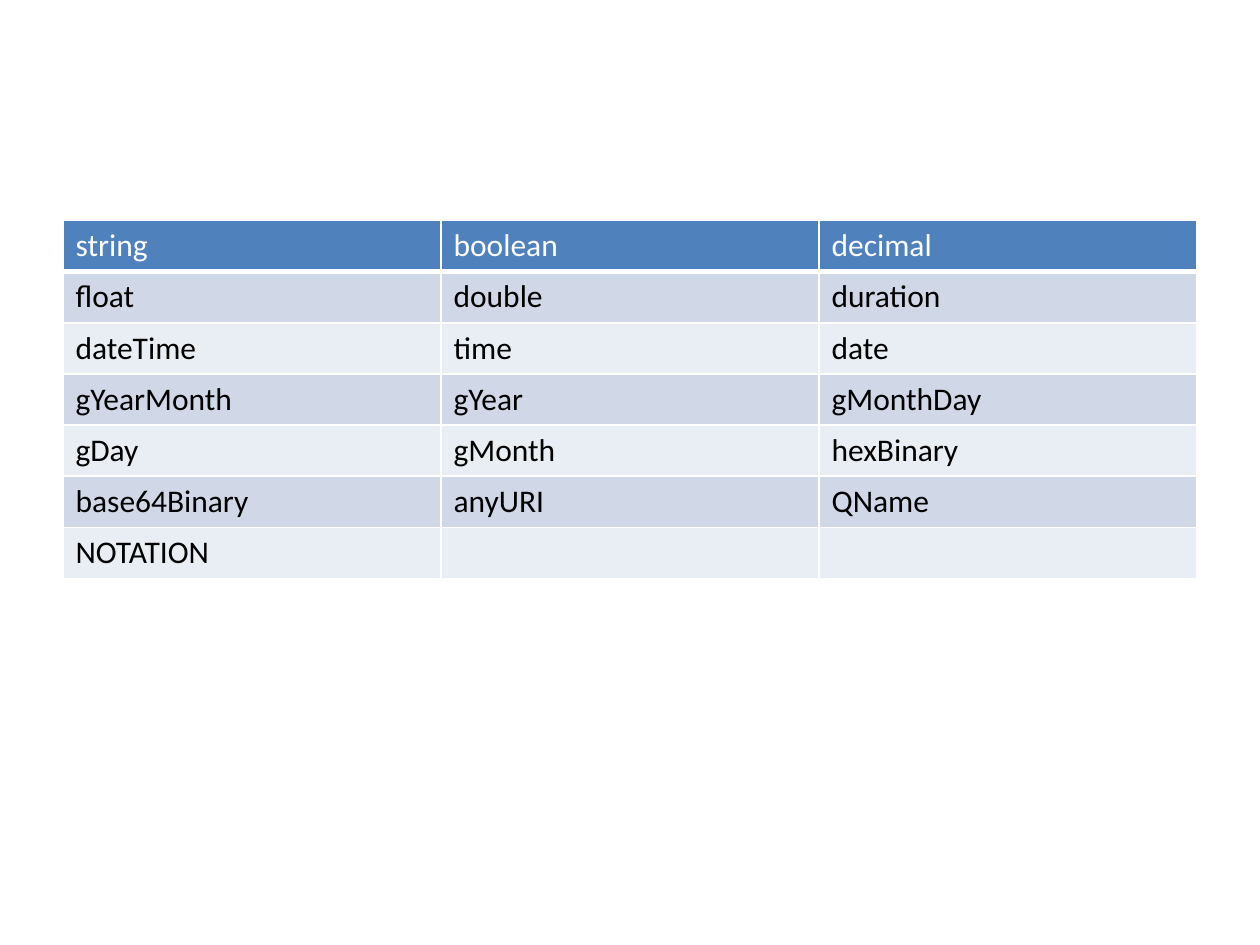
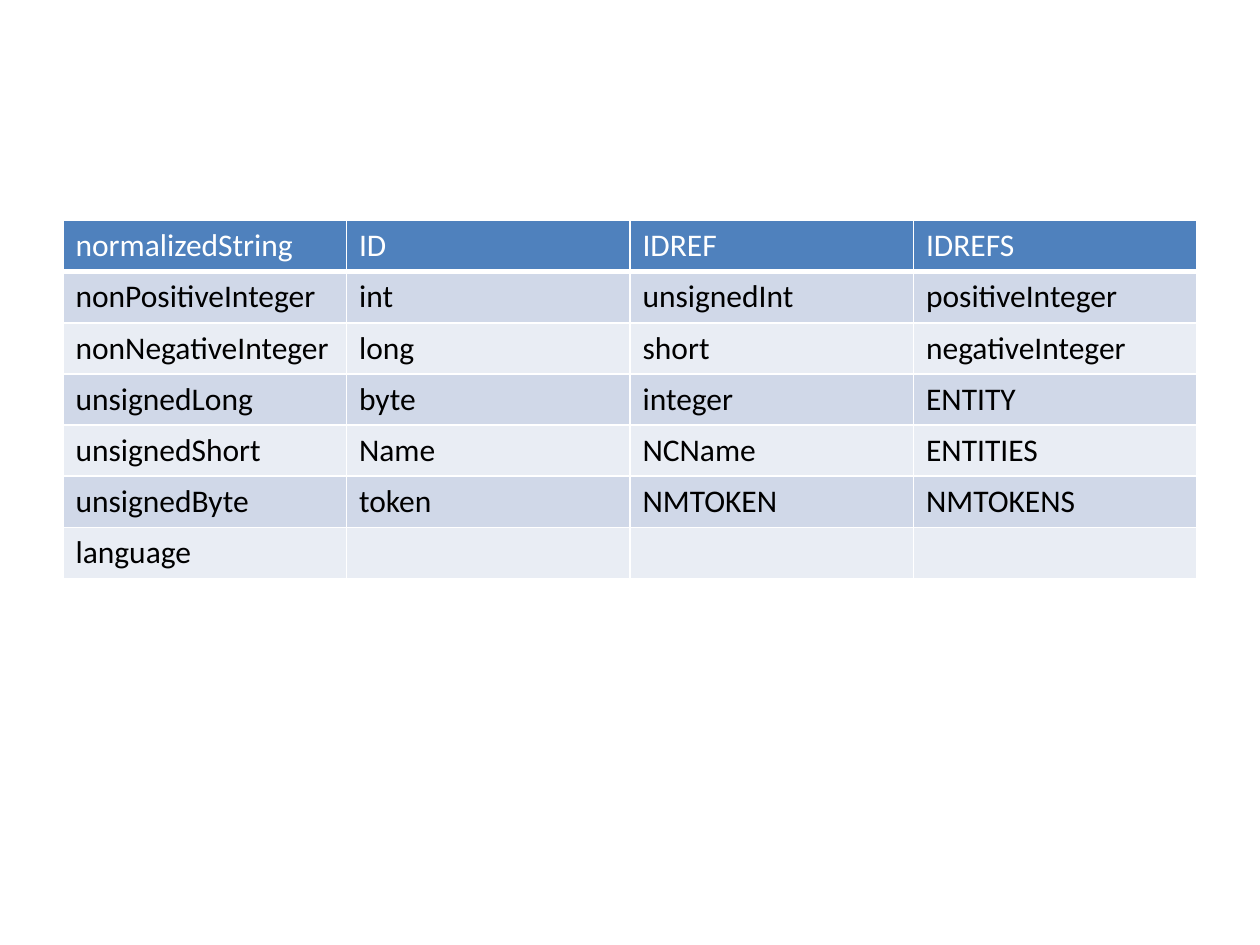
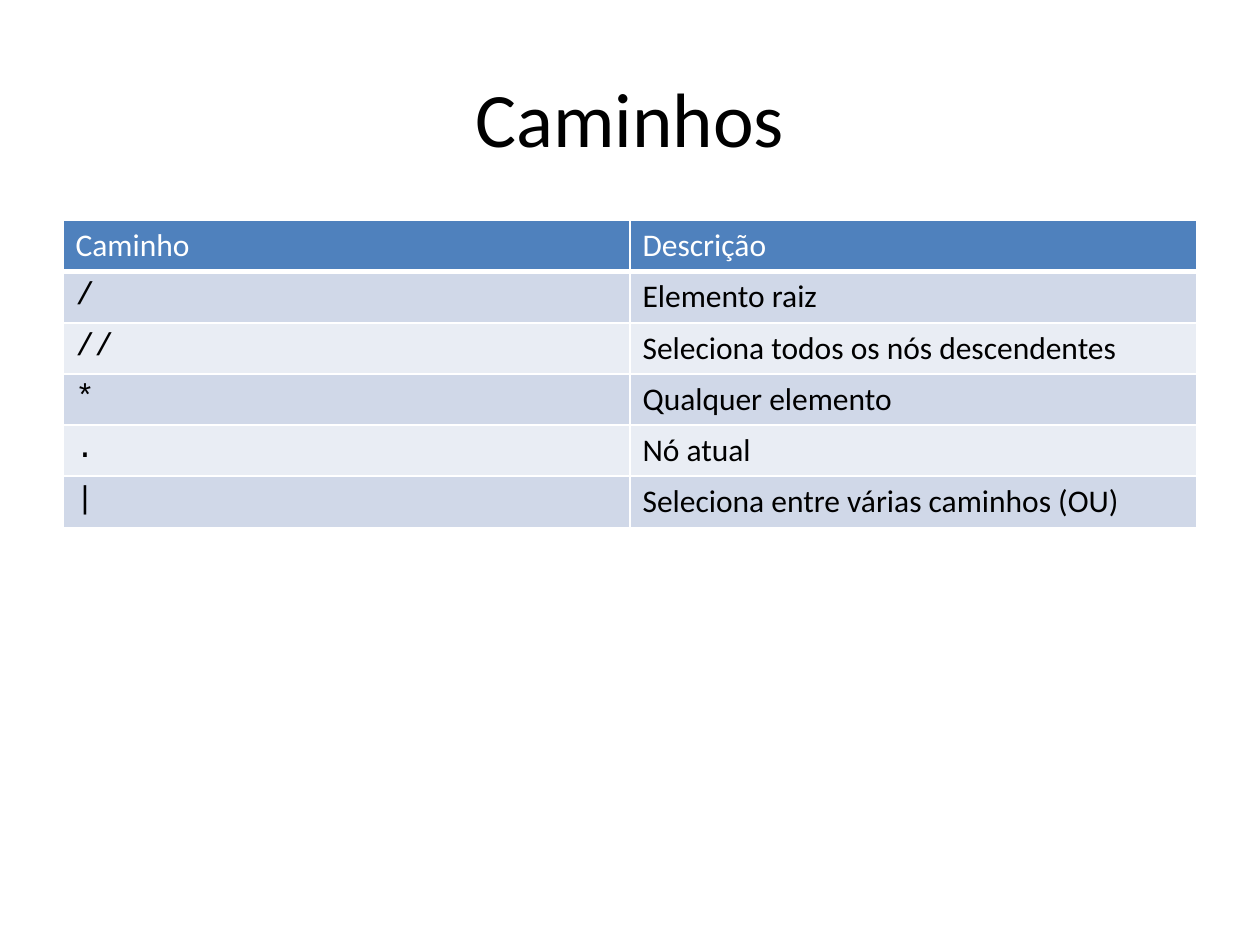
from lxml.etree import SubElement
from pptx import Presentation
from pptx.dml.color import RGBColor
from pptx.enum.text import MSO_ANCHOR as Anchor, PP_ALIGN as Align
from pptx.oxml.ns import qn
from pptx.util import Pt

SLIDES = [
    {"rows": [
        ("string", "boolean", "decimal"),
        ("float", "double", "duration"),
        ("dateTime", "time", "date"),
        ("gYearMonth", "gYear", "gMonthDay"),
        ("gDay", "gMonth", "hexBinary"),
        ("base64Binary", "anyURI", "QName"),
        ("NOTATION", "", ""),
    ]},
    {"rows": [
        ("normalizedString", "ID", "IDREF", "IDREFS"),
        ("nonPositiveInteger", "int", "unsignedInt", "positiveInteger"),
        ("nonNegativeInteger", "long", "short", "negativeInteger"),
        ("unsignedLong", "byte", "integer", "ENTITY"),
        ("unsignedShort", "Name", "NCName", "ENTITIES"),
        ("unsignedByte", "token", "NMTOKEN", "NMTOKENS"),
        ("language", "", "", ""),
    ]},
    {"title": "Caminhos", "code_column": 0, "rows": [
        ("Caminho", "Descrição"),
        ("/", "Elemento raiz"),
        ("//", "Seleciona todos os nós descendentes"),
        ("*", "Qualquer elemento"),
        (".", "Nó atual"),
        ("|", "Seleciona entre várias caminhos (OU)"),
    ]},
]

PX = 9525
SLIDE_SIZE = 960, 720
TITLE_AREA = 48, 29, 864, 120
TABLE_LEFT, TABLE_TOP, TABLE_WIDTH, ROW_HEIGHT = 48, 168, 864, 39
FONT, CODE_FONT = "Calibri", "Courier New"
WHITE, BLACK, HEADER = "FFFFFF", "000000", "4F81BD"
BANDS = "E9EDF4", "D0D8E8"


def emu(*lengths):
    return [length * PX for length in lengths]


def color(code):
    return RGBColor.from_string(code)


def write(frame, text, size=18, font=FONT, ink=BLACK, align=Align.LEFT):
    para = frame.paragraphs[0]
    para.alignment = align
    span = para.add_run()
    span.text = text
    span.font.size = Pt(size)
    span.font.name = font
    span.font.bold = False
    span.font.color.rgb = color(ink)


def add_borders(cell, bottom):
    properties = cell._tc.get_or_add_tcPr()
    for tag, width in (("lnL", 1), ("lnR", 1), ("lnT", 1), ("lnB", bottom)):
        line = SubElement(properties, qn(f"a:{tag}"), w=str(Pt(width)))
        fill = SubElement(line, qn("a:solidFill"))
        SubElement(fill, qn("a:srgbClr"), val=WHITE)


def add_title(page, text):
    box = page.shapes.add_textbox(*emu(*TITLE_AREA))
    frame = box.text_frame
    frame.word_wrap = True
    frame.vertical_anchor = Anchor.MIDDLE
    write(frame, text, size=44, align=Align.CENTER)


def add_grid(page, rows, code_column=None):
    count = len(rows[0])
    area = emu(TABLE_LEFT, TABLE_TOP, TABLE_WIDTH, ROW_HEIGHT * len(rows))
    table = page.shapes.add_table(len(rows), count, *area).table
    for column in table.columns:
        column.width = TABLE_WIDTH // count * PX
    for row_index, row in enumerate(rows):
        is_header = row_index == 0
        for column_index, text in enumerate(row):
            cell = table.cell(row_index, column_index)
            add_borders(cell, bottom=3 if is_header else 1)
            cell.fill.solid()
            cell.fill.fore_color.rgb = color(HEADER if is_header else BANDS[row_index % 2])
            is_code = column_index == code_column and not is_header
            if text:
                write(cell.text_frame, text, font=CODE_FONT if is_code else FONT,
                      ink=WHITE if is_header else BLACK)


def main():
    deck = Presentation()
    deck.slide_width, deck.slide_height = emu(*SLIDE_SIZE)
    for content in SLIDES:
        page = deck.slides.add_slide(deck.slide_layouts[6])
        if "title" in content:
            add_title(page, content["title"])
        add_grid(page, content["rows"], content.get("code_column"))
    deck.save("out.pptx")


if __name__ == "__main__":
    main()
